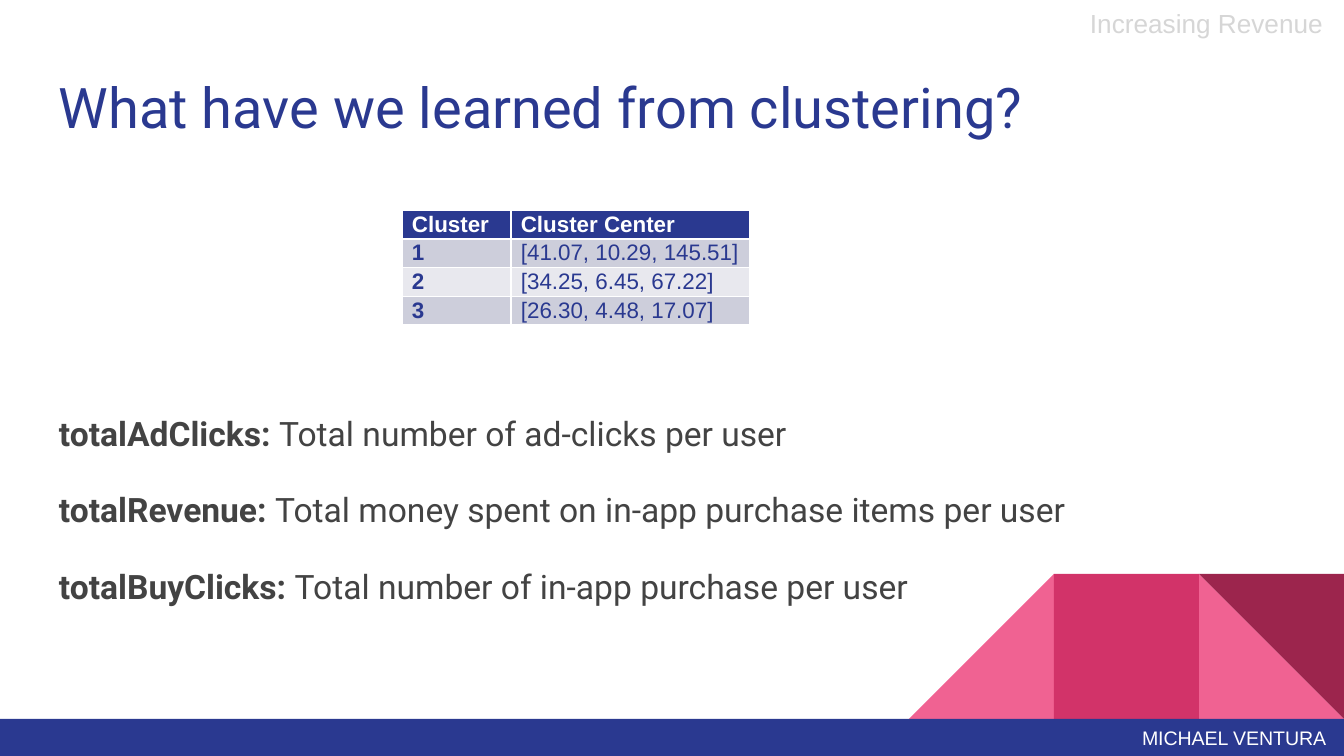
from pptx import Presentation
from pptx.dml.color import RGBColor
from pptx.enum.shapes import MSO_SHAPE
from pptx.enum.text import MSO_ANCHOR
from pptx.util import Emu, Pt

EMU_PER_PX = 914400 / 134.4
WIDTH, HEIGHT = 1344, 756

NAVY = RGBColor(0x2A, 0x39, 0x90)
PINK = RGBColor(0xF0, 0x62, 0x92)
ROSE = RGBColor(0xD2, 0x33, 0x69)
WINE = RGBColor(0x9C, 0x25, 0x4D)
WHITE = RGBColor(0xFF, 0xFF, 0xFF)
DARK_GRAY = RGBColor(0x43, 0x43, 0x43)
PALE_GRAY = RGBColor(0xD6, 0xD6, 0xD6)
BANDS = (RGBColor(0xCD, 0xCE, 0xDB), RGBColor(0xE8, 0xE8, 0xEE))

CLUSTERS = [
    ("Cluster", "Cluster Center"),
    ("1", "[41.07, 10.29, 145.51]"),
    ("2", "[34.25, 6.45, 67.22]"),
    ("3", "[26.30, 4.48, 17.07]"),
]
FEATURES = [
    ("totalAdClicks: ", "Total number of ad-clicks per user"),
    ("totalRevenue: ", "Total money spent on in-app purchase items per user"),
    ("totalBuyClicks: ", "Total number of in-app purchase per user"),
]


def px(length):
    return Emu(round(length * EMU_PER_PX))


def add_run(paragraph, text, *, size, color, font="Arial", bold=False):
    run = paragraph.add_run()
    run.text = text
    run.font.name = font
    run.font.size = Pt(size)
    run.font.color.rgb = color
    run.font.bold = bold


def set_margins(frame, across, down):
    frame.margin_left = frame.margin_right = px(across)
    frame.margin_top = frame.margin_bottom = px(down)


def add_text_frame(slide, left, top, width, height, across=13, down=13):
    frame = slide.shapes.add_textbox(px(left), px(top), px(width), px(height)).text_frame
    frame.word_wrap = True
    set_margins(frame, across, down)
    return frame


def add_block(slide, preset, left, top, width, height, color):
    block = slide.shapes.add_shape(preset, px(left), px(top), px(width), px(height))
    block.shadow.inherit = False
    block.fill.solid()
    block.fill.fore_color.rgb = color
    block.line.fill.background()
    return block


def add_footer_art(slide):
    side, bar_top = 145, 719
    top = bar_top - side
    columns = [WIDTH - side * count for count in (3, 2, 1)]
    triangle, square = MSO_SHAPE.RIGHT_TRIANGLE, MSO_SHAPE.RECTANGLE

    add_block(slide, triangle, columns[2], top, side, side, PINK)
    rising = add_block(slide, triangle, columns[0], top, side, side, PINK)
    rising.rotation = 270  # equals a horizontal flip, as the legs are equal
    add_block(slide, square, columns[1], top, side, side, ROSE)
    corner = add_block(slide, triangle, columns[2], top, side, side, WINE)
    corner.rotation = 180
    add_block(slide, square, 0, bar_top, WIDTH, HEIGHT - bar_top, NAVY)


def add_features(slide):
    frame = add_text_frame(slide, 46, 394, 1252, 277)
    for index, (name, meaning) in enumerate(FEATURES):
        paragraph = frame.add_paragraph() if index else frame.paragraphs[0]
        paragraph.line_spacing = 1.15
        paragraph.space_after = Pt(16)
        for text, bold in ((name, True), (meaning, False)):
            add_run(paragraph, text, size=18, color=DARK_GRAY, font="Roboto", bold=bold)


def add_cluster_table(slide):
    widths, row_height = (109, 239), 26
    table = slide.shapes.add_table(
        len(CLUSTERS), len(widths), px(402), px(210),
        px(sum(widths)), px(row_height * len(CLUSTERS)),
    ).table
    for column, width in zip(table.columns, widths):
        column.width = px(width)
    for row_index, values in enumerate(CLUSTERS):
        header = row_index == 0
        table.rows[row_index].height = px(row_height)
        for column_index, value in enumerate(values):
            cell = table.cell(row_index, column_index)
            set_margins(cell, 10, 0)
            cell.vertical_anchor = MSO_ANCHOR.TOP
            cell.fill.solid()
            cell.fill.fore_color.rgb = NAVY if header else BANDS[(row_index - 1) % 2]
            paragraph = cell.text_frame.paragraphs[0]
            paragraph.line_spacing = 1.07
            add_run(paragraph, value, size=12, color=WHITE if header else NAVY,
                    bold=header or column_index == 0)


def main():
    deck = Presentation()
    deck.slide_width, deck.slide_height = px(WIDTH), px(HEIGHT)
    slide = deck.slides.add_slide(deck.slide_layouts[6])

    add_footer_art(slide)
    title = add_text_frame(slide, 46, 60, 1252, 89)
    add_run(title.paragraphs[0], "What have we learned from clustering?",
            size=30, color=NAVY, font="Roboto")
    add_features(slide)
    add_cluster_table(slide)
    author = add_text_frame(slide, 1129, 719, 215, 37, down=7)
    add_run(author.paragraphs[0], "MICHAEL VENTURA", size=10.5, color=WHITE)
    section = add_text_frame(slide, 1077, 0, 267, 46, down=7)
    add_run(section.paragraphs[0], "Increasing Revenue", size=14, color=PALE_GRAY)

    deck.save("out.pptx")


if __name__ == "__main__":
    main()
